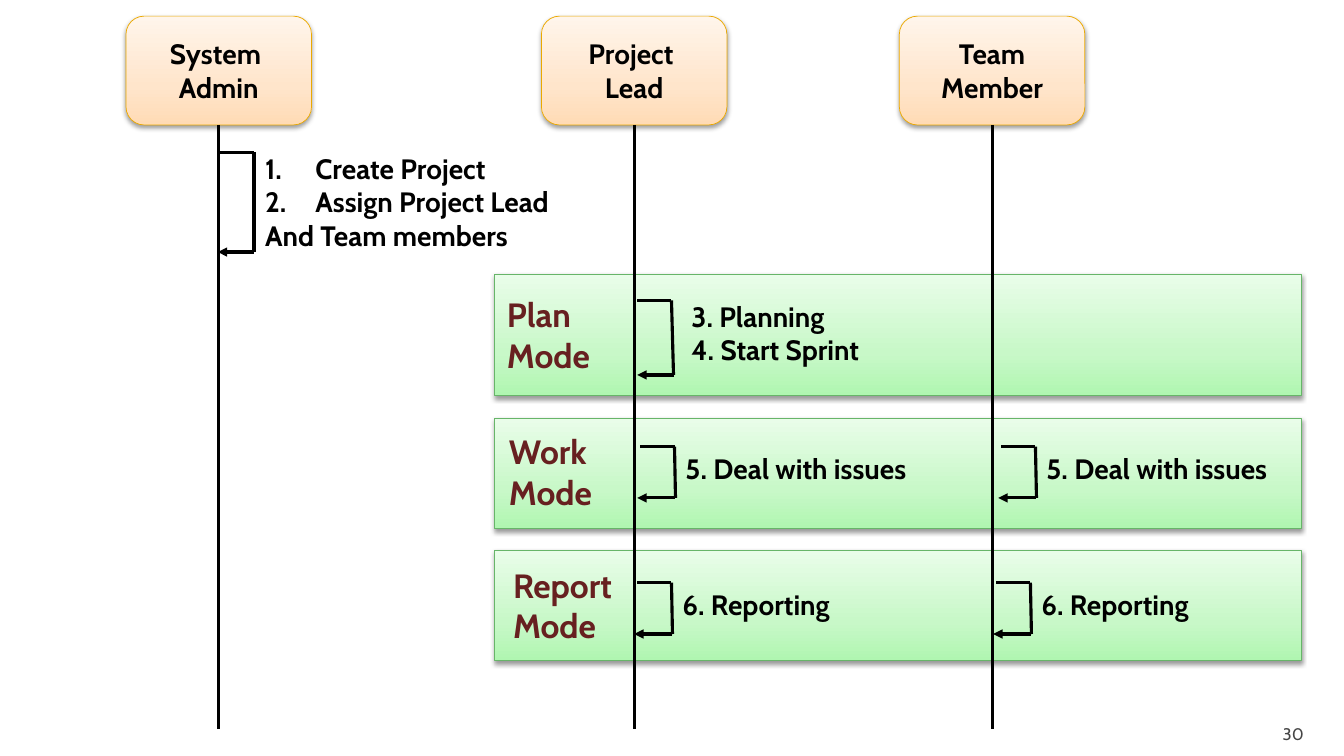
from pptx import Presentation
from pptx.dml.color import RGBColor
from pptx.enum.shapes import MSO_CONNECTOR, MSO_SHAPE
from pptx.enum.text import MSO_ANCHOR, MSO_AUTO_SIZE, PP_ALIGN
from pptx.oxml import parse_xml
from pptx.oxml.ns import nsdecls
from pptx.util import Inches, Pt
from lxml import etree

STRAIGHT = MSO_CONNECTOR.STRAIGHT
ROUNDED, PROCESS = MSO_SHAPE.ROUNDED_RECTANGLE, MSO_SHAPE.FLOWCHART_PROCESS
MIDDLE, BOTTOM = MSO_ANCHOR.MIDDLE, MSO_ANCHOR.BOTTOM
LEFT, CENTER, RIGHT = PP_ALIGN.LEFT, PP_ALIGN.CENTER, PP_ALIGN.RIGHT
FIT_SHAPE = MSO_AUTO_SIZE.SHAPE_TO_FIT_TEXT

BLACK = RGBColor(0x00, 0x00, 0x00)
GRAY = RGBColor(0x45, 0x45, 0x45)
MAROON = RGBColor(0x67, 0x20, 0x20)
GREEN_LINE = RGBColor(0x67, 0xB5, 0x69)
GOLD_LINE = RGBColor(0xEB, 0xA9, 0x00)
GREENS = (RGBColor(0xB0, 0xF6, 0xB1), RGBColor(0xC8, 0xF8, 0xC8),
          RGBColor(0xE9, 0xFD, 0xE9))
PEACHES = (RGBColor(0xFF, 0xDB, 0xB5), RGBColor(0xFF, 0xE5, 0xCB),
           RGBColor(0xFF, 0xF5, 0xEB))
FONT = "Cabin"
LIFELINE_END = 7.23


class SequencePage:
    """Holds the style and the current slide."""

    def __init__(self, deck):
        self.page = deck.slides.add_slide(deck.slide_layouts[6])
        self.shapes = self.page.shapes

    def add_lines(self, frame, lines, size, color, align=LEFT, bold=True):
        for index, line in enumerate(lines):
            para = frame.paragraphs[0] if index == 0 else frame.add_paragraph()
            para.alignment = align
            span = para.add_run()
            span.text = line
            span.font.name = FONT
            span.font.size = Pt(size)
            span.font.bold = bold
            span.font.color.rgb = color

    def panel(self, kind, left, top, width, height, colors, outline):
        """Add a shape with an upward gradient and a soft shadow."""
        box = self.shapes.add_shape(kind, Inches(left), Inches(top),
                                    Inches(width), Inches(height))
        box.line.color.rgb = outline
        box.line.width = Pt(0.5)
        box.shadow.inherit = False
        stops = "".join(
            f'<a:gs pos="{place}"><a:srgbClr val="{color}"/></a:gs>'
            for place, color in zip((0, 35000, 100000), colors))
        properties = box._element.spPr
        properties.insert(2, parse_xml(
            f'<a:gradFill {nsdecls("a")} rotWithShape="1"><a:gsLst>{stops}</a:gsLst>'
            '<a:lin ang="16200000" scaled="0"/></a:gradFill>'))
        properties.effectLst.append(parse_xml(
            f'<a:outerShdw {nsdecls("a")} blurRad="{Pt(3.5)}" dist="{Pt(2)}" '
            'dir="5400000" rotWithShape="0"><a:srgbClr val="000000">'
            '<a:alpha val="38000"/></a:srgbClr></a:outerShdw>'))
        return box

    def line(self, x1, y1, x2, y2, arrow=False):
        """Add a black line; the arrowhead sits at its start."""
        link = self.shapes.add_connector(STRAIGHT, Inches(x1), Inches(y1),
                                         Inches(x2), Inches(y2))
        link.line.color.rgb = BLACK
        link.line.width = Pt(2.25)
        properties = link._element.spPr
        if arrow:
            properties.ln.append(
                parse_xml(f'<a:headEnd {nsdecls("a")} type="triangle"/>'))
        properties.append(parse_xml(f'<a:effectLst {nsdecls("a")}/>'))
        return link

    def label(self, left, top, width, height, lines, size=20, color=BLACK):
        box = self.shapes.add_textbox(Inches(left), Inches(top),
                                      Inches(width), Inches(height))
        frame = box.text_frame
        frame.word_wrap = False
        frame.auto_size = FIT_SHAPE
        self.add_lines(frame, lines, size, color)
        return frame

    def number(self, para):
        properties = para._p.get_or_add_pPr()
        properties.set("marL", str(Inches(0.5)))
        properties.set("indent", str(Inches(-0.5)))
        bullet = etree.SubElement(properties, properties.tag.replace("pPr", "buAutoNum"))
        bullet.set("type", "arabicPeriod")

    def actor(self, left, lines):
        """Add a participant with its lifeline."""
        box = self.panel(ROUNDED, left, 0.16, 1.84, 1.08, PEACHES, GOLD_LINE)
        box.text_frame.vertical_anchor = MIDDLE
        self.add_lines(box.text_frame, lines, 20, BLACK, CENTER)
        center = left + 1.84 / 2
        lifeline = self.line(center, 1.24, center, LIFELINE_END)
        lifeline.begin_connect(box, 2)

    def self_call(self, left, tip, top, bottom, slant=0.01):
        """Add a loop that leaves a lifeline and returns to it."""
        side = left + 0.34
        self.line(left, top, side, top)
        self.line(side, top, side + slant, bottom)
        self.line(tip, bottom, side + slant, bottom, arrow=True)

    def page_number(self, text):
        box = self.shapes.add_textbox(Inches(11.96), Inches(7.08),
                                      Inches(1.07), Inches(0.3))
        frame = box.text_frame
        frame.word_wrap = True
        frame.vertical_anchor = BOTTOM
        frame.margin_bottom = 0
        self.add_lines(frame, [text], 12, GRAY, RIGHT, bold=False)


def main():
    deck = Presentation()
    deck.slide_width, deck.slide_height = Inches(13.33), Inches(7.5)
    chart = SequencePage(deck)

    # Mode bands
    for top, height in ((2.72, 1.2), (4.15, 1.09), (5.46, 1.09)):
        chart.panel(PROCESS, 4.9, top, 8.01, height, GREENS, GREEN_LINE)
    chart.page_number("30")

    # Participants
    for left, lines in ((1.25, ("System ", "Admin")),
                        (5.37, ("Project ", "Lead")),
                        (8.92, ("Team", "Member"))):
        chart.actor(left, lines)

    # Project setup
    chart.self_call(2.18, 2.16, 1.51, 2.5, slant=0)
    setup = chart.label(2.53, 1.45, 3.09, 1.11,
                        ("Create Project", "Assign Project Lead", "And Team members"))
    for para in setup.paragraphs[:2]:
        chart.number(para)

    # Planning
    chart.self_call(6.32, 6.32, 2.98, 3.72, slant=0.02)
    chart.label(6.76, 2.92, 1.9, 0.77, ("3. Planning", "4. Start Sprint"))

    # Work and reporting, for both lead and member
    for text, top, width, lefts in (("5. Deal with issues", 4.43, 2.41, (6.35, 9.93)),
                                    ("6. Reporting", 5.78, 1.71, (6.32, 9.88))):
        for left in lefts:
            chart.self_call(left, left - 0.03, top, top + 0.51)
            chart.label(left + 0.35, top, width, 0.44, (text,))

    # Mode names
    for left, top, width, name in ((4.93, 2.87, 1.03, "Plan"),
                                   (4.95, 4.23, 1.03, "Work"),
                                   (4.99, 5.55, 1.2, "Report")):
        chart.label(left, top, width, 0.91, (name, "Mode"), 24, MAROON)

    deck.save("out.pptx")


if __name__ == "__main__":
    main()
